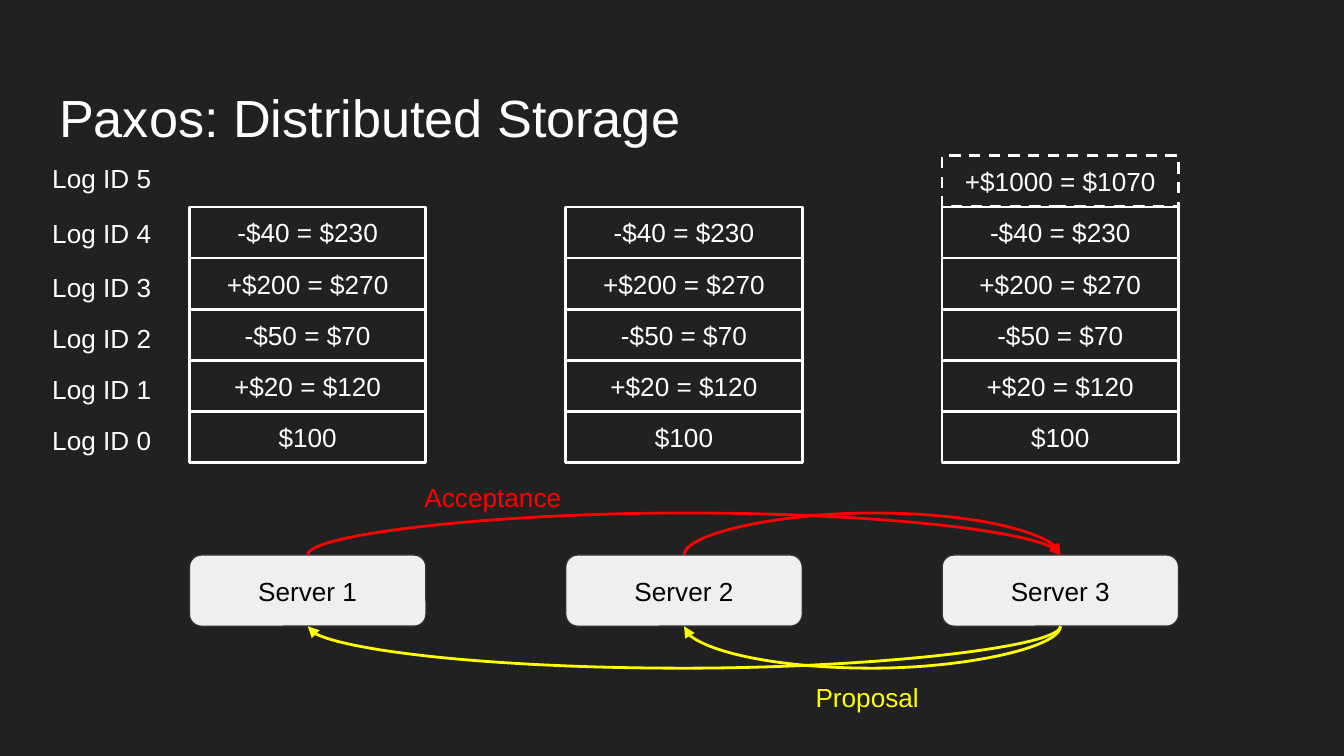
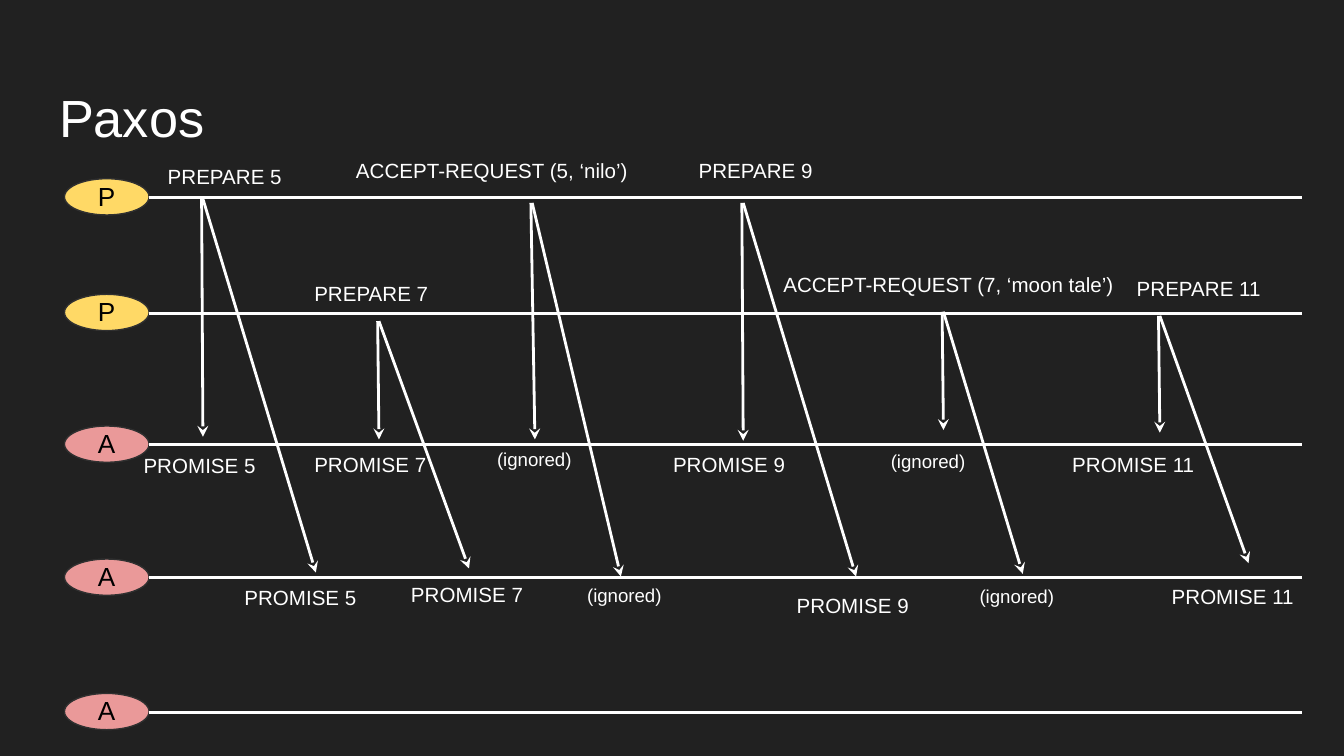
from dataclasses import dataclass

from pptx import Presentation
from pptx.dml.color import RGBColor
from pptx.enum.dml import MSO_LINE
from pptx.enum.shapes import MSO_CONNECTOR, MSO_SHAPE
from pptx.enum.text import MSO_ANCHOR, PP_ALIGN
from pptx.oxml.ns import qn
from pptx.util import Emu, Inches, Pt
from lxml.etree import SubElement

COLORS = {
    "background": "212121", "text": "FFFFFF", "dark": "000000",
    "outline": "303030", "server": "EFEFEF", "proposal": "FFFF00",
    "acceptance": "FF0000", "proposer": "FFD966", "acceptor": "EA9999",
}
FONT = "Arial"
CELL = Inches(0.1)  # the slide is a grid of 100 columns by 56.25 rows


@dataclass
class Box:
    """An area in grid columns and rows."""
    left: float
    top: float
    width: float
    height: float

    def inner(self, column, row, columns, rows):
        return Box(self.left + column, self.top + row, columns, rows)

    def lengths(self):
        return [grid(n) for n in (self.left, self.top, self.width, self.height)]


def grid(cells):
    return Emu(round(cells * CELL))


def color(name):
    return RGBColor.from_string(COLORS[name])


# Shared text, shape and line helpers
def write(shape, text, size=14, ink="text", align=PP_ALIGN.LEFT,
          anchor=MSO_ANCHOR.TOP, spacing=1.0):
    frame = shape.text_frame
    frame.word_wrap = True
    frame.vertical_anchor = anchor
    frame.margin_left = frame.margin_right = Inches(0.1)
    frame.margin_top = frame.margin_bottom = Inches(0.1)
    para = frame.paragraphs[0]
    para.alignment = align
    para.line_spacing = spacing
    span = para.add_run()
    span.text = text
    span.font.name = FONT
    span.font.size = Pt(size)
    span.font.color.rgb = color(ink)


def add_label(page, box, text, **style):
    write(page.shapes.add_textbox(*box.lengths()), text, **style)


def add_block(page, box, kind, fill=None, outline="outline", weight=0.75,
              text=None, ink="text", dashed=False):
    shape = page.shapes.add_shape(kind, *box.lengths())
    shape.shadow.inherit = False
    if fill:
        shape.fill.solid()
        shape.fill.fore_color.rgb = color(fill)
    else:
        shape.fill.background()
    shape.line.color.rgb = color(outline)
    shape.line.width = Pt(weight)
    if dashed:
        shape.line.dash_style = MSO_LINE.DASH
    if text:
        write(shape, text, ink=ink, align=PP_ALIGN.CENTER,
              anchor=MSO_ANCHOR.MIDDLE)
    return shape


def add_line(page, start, end, ink="text", head=None,
             kind=MSO_CONNECTOR.STRAIGHT):
    line = page.shapes.add_connector(kind, *map(grid, (*start, *end)))
    line.line.color.rgb = color(ink)
    line.line.width = Pt(1.5)
    properties = line.element.spPr
    if head:
        SubElement(properties.find(qn("a:ln")), qn("a:tailEnd"), type=head)
    SubElement(properties, qn("a:effectLst"))
    return line


def add_arc(page, source, target, ink, below):
    """Curve between the same side of two blocks, bowed away from them."""
    thickness, bow = Emu(600), 39687500
    arc = add_line(page, (0, 0), (1, 1), ink, "triangle", MSO_CONNECTOR.CURVE)
    side = 2 if below else 0
    arc.begin_connect(source, side)
    arc.end_connect(target, side)
    # A thin upright curve, turned a quarter to lie flat
    span = abs(target.left - source.left)
    middle = (source.left + target.left + source.width) // 2
    level = source.top + (source.height if below else 0)
    arc.left, arc.top = Emu(middle - thickness // 2), Emu(level - span // 2)
    arc.width, arc.height = thickness, Emu(span)
    frame = arc.element.spPr.find(qn("a:xfrm"))
    for flip in ("flipH", "flipV"):
        frame.attrib.pop(flip, None)
    frame.set("rot", "5400000" if below else "16200000")
    if not below:
        frame.set("flipH", "1")
    geometry = arc.element.spPr.find(qn("a:prstGeom"))
    guides = geometry.find(qn("a:avLst"))
    if guides is None:
        guides = SubElement(geometry, qn("a:avLst"))
    SubElement(guides, qn("a:gd"), name="adj1",
               fmla=f"val {bow if below else -bow}")


def add_page(deck, title):
    page = deck.slides.add_slide(deck.slide_layouts[5])
    heading = page.shapes.title
    heading.left, heading.top, heading.width, heading.height = Box(
        3.4, 4.9, 93.2, 6.3).lengths()
    write(heading, title, size=28, spacing=1.1)
    return page


# Distributed storage
SERVER_PITCH, SERVER_WIDTH, LOG_ROW = 28, 17.6, 3.8
ENTRIES = ["$100", "+$20 = $120", "-$50 = $70", "+$200 = $270", "-$40 = $230"]
PENDING = "+$1000 = $1070"
LOG_ID_LIFT = {4: 0.2, 5: 0.5}


def add_logs(page, box):
    def row_top(log_id):
        return box.height - (log_id + 1) * LOG_ROW

    def add_entry(server, log_id, text, dashed=False):
        cell = box.inner(server * SERVER_PITCH, row_top(log_id),
                         SERVER_WIDTH, LOG_ROW)
        add_block(page, cell, MSO_SHAPE.RECTANGLE, outline="text", weight=1.5,
                  text=text, dashed=dashed)

    for log_id in range(len(ENTRIES) + 1):
        top = row_top(log_id) - LOG_ID_LIFT.get(log_id, 0)
        add_label(page, box.inner(-11.2, top, 9.5, LOG_ROW), f"Log ID {log_id}")
    for server in range(3):
        for log_id, text in enumerate(ENTRIES):
            add_entry(server, log_id, text)
    add_entry(2, len(ENTRIES), PENDING, dashed=True)


def add_servers(page, box):
    servers = [
        add_block(page, box.inner(i * SERVER_PITCH, 0, SERVER_WIDTH, box.height),
                  MSO_SHAPE.ROUNDED_RECTANGLE, fill="server",
                  text=f"Server {i + 1}", ink="dark")
        for i in range(3)
    ]
    leader = servers[2]
    for follower in servers[:2]:
        add_arc(page, leader, follower, "proposal", below=True)
        add_arc(page, follower, leader, "acceptance", below=False)
    add_label(page, box.inner(45.6, 8.4, 10.4, 3.8), "Proposal", ink="proposal")
    add_label(page, box.inner(16.5, -6.5, 28, 3.8), "Acceptance",
              ink="acceptance")


def build_storage(deck):
    page = add_page(deck, "Paxos: Distributed Storage")
    add_logs(page, Box(14.1, 11.6, 73.6, 22.8))
    add_servers(page, Box(14.1, 41.3, 73.6, 5.3))


# Message timeline
LANES = [("P", "proposer", 0), ("P", "proposer", 8.6), ("A", "acceptor", 18.4),
         ("A", "acceptor", 28.3), ("A", "acceptor", 38.3)]
NEAR, FAR = 2, 3  # lanes of the acceptors that answer


@dataclass
class Message:
    """Points are (column, rows below the lane)."""
    lane: int
    text: str
    label: tuple
    start: tuple
    tips: tuple
    reply: str
    replies: tuple
    width: float = 11.4


MESSAGES = [
    Message(0, "PREPARE 5", (11.5, -3.4), (15, 0.1),
            ((15.1, -0.6), (23.5, -0.4)),
            "PROMISE 5", ((9.7, -0.3), (17.2, -0.4))),
    Message(1, "PREPARE 7", (22.4, -3.3), (28.1, 0.6),
            ((28.2, -0.4), (34.9, -0.7)),
            "PROMISE 7", ((22.4, -0.4), (29.6, -0.6))),
    Message(0, "ACCEPT-REQUEST (5, ‘nilo’)", (25.5, -3.9), (39.5, 0.4),
            ((39.8, -0.4), (46.2, -0.1)),
            "(ignored)", ((36, -0.6), (42.7, -0.4)), 24.5),
    Message(0, "PREPARE 9", (51, -3.9), (55.2, 0.4),
            ((55.3, -0.3), (63.7, -0.1)),
            "PROMISE 9", ((49.1, -0.4), (58.3, 0.2))),
    Message(1, "ACCEPT-REQUEST (7, ‘moon tale’)", (57.3, -4), (70.1, -0.1),
            ((70.2, -1.1), (76.1, -0.3)),
            "(ignored)", ((65.3, -0.5), (71.9, -0.3)), 27.8),
    Message(1, "PREPARE 11", (83.6, -3.7), (86.2, 0.2),
            ((86.3, -0.9), (92.9, -1.1)),
            "PROMISE 11", ((78.8, -0.4), (86.2, -0.5))),
]


def add_lanes(page, box):
    for letter, fill, row in LANES:
        add_block(page, box.inner(4.8, row - 1.4, 6.3, 2.7), MSO_SHAPE.OVAL,
                  fill=fill)
        add_label(page, box.inner(6.3, row - 2.3, 4.5, 3.9), letter, ink="dark")
        level = box.top + row
        add_line(page, (box.left + 11.1, level), (box.left + 96.9, level))


def add_message(page, box, message):
    def point(lane, place):
        return box.left + place[0], box.top + LANES[lane][2] + place[1]

    def add_note(lane, place, text, width, height, size):
        add_label(page, Box(*point(lane, place), width, height), text,
                  size=size)

    add_note(message.lane, message.label, message.text, message.width, 3.9, 11)
    reply_format = ((8.4, 3.4, 10) if message.reply == "(ignored)"
                    else (11.4, 3.9, 11))
    column, dip = message.start
    for i, lane in enumerate((NEAR, FAR)):
        add_line(page, point(message.lane, (column + i * 0.1, dip)),
                 point(lane, message.tips[i]), head="stealth")
        add_note(lane, message.replies[i], message.reply, *reply_format)


def build_timeline(deck):
    page = add_page(deck, "Paxos")
    box = Box(0, 14.7, 100, 38.3)
    add_lanes(page, box)
    for message in MESSAGES:
        add_message(page, box, message)


def main():
    deck = Presentation()
    deck.slide_width, deck.slide_height = grid(100), grid(56.25)
    backdrop = deck.slide_master.background.fill
    backdrop.solid()
    backdrop.fore_color.rgb = color("background")
    build_storage(deck)
    build_timeline(deck)
    deck.save("out.pptx")


if __name__ == "__main__":
    main()
